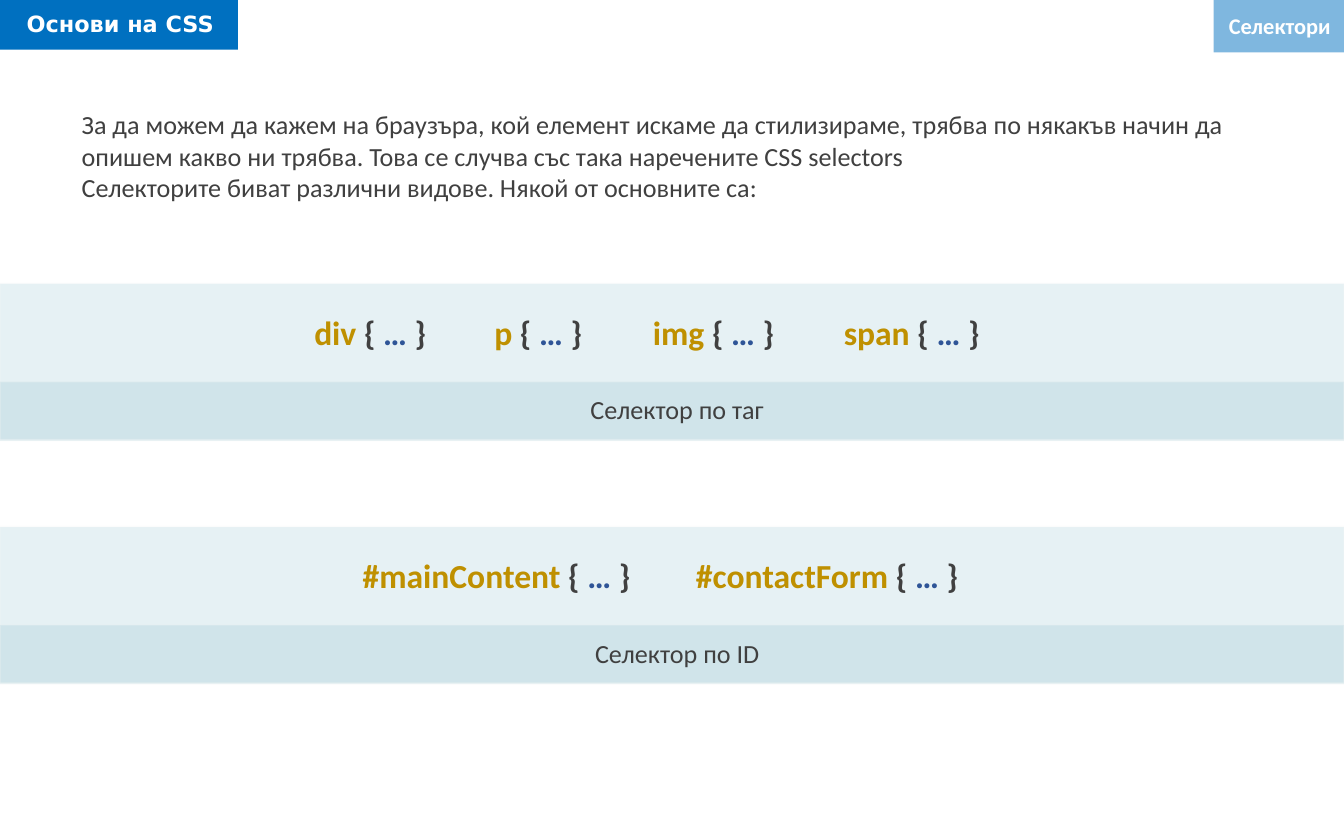
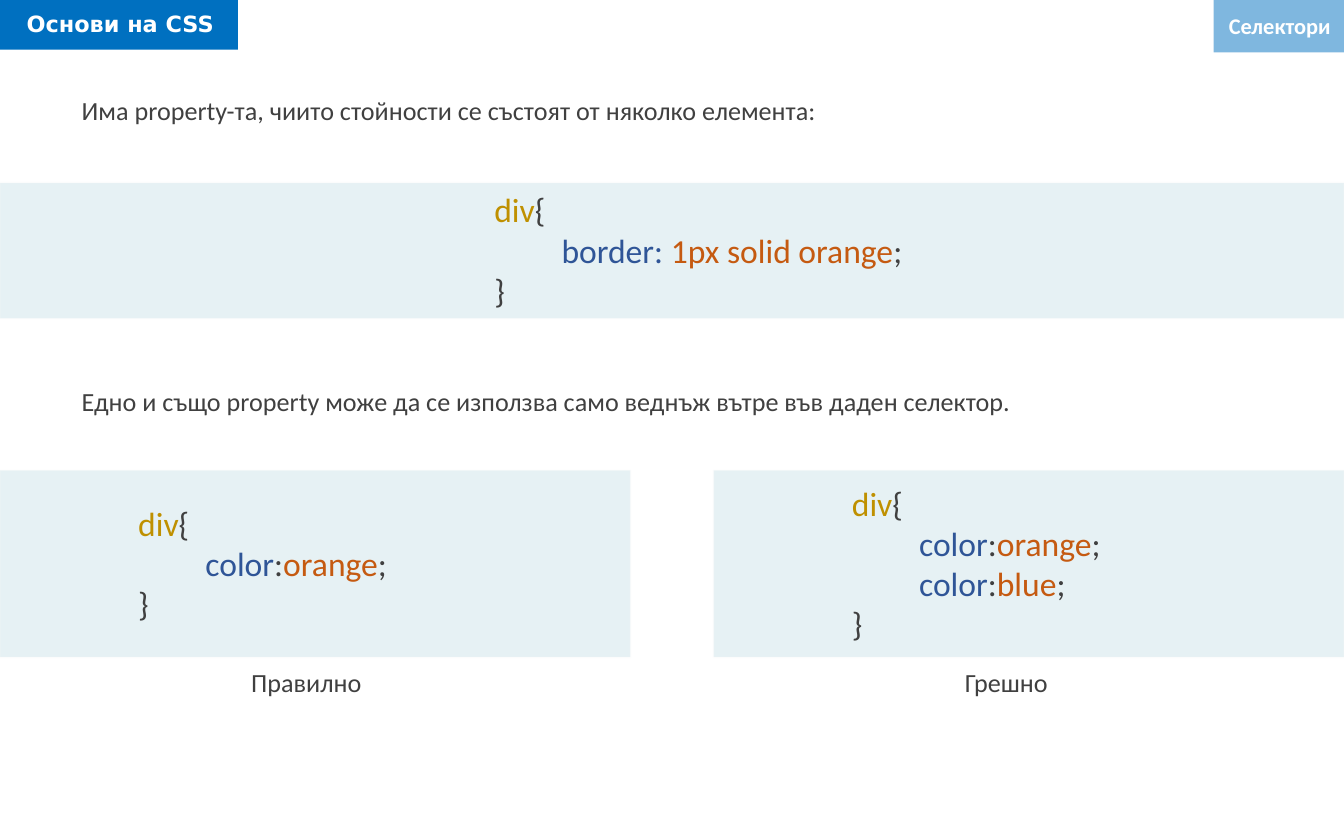
from dataclasses import dataclass
from typing import NamedTuple

from lxml.etree import SubElement
from pptx import Presentation
from pptx.dml.color import RGBColor
from pptx.dml.fill import FillFormat
from pptx.enum.shapes import MSO_SHAPE as Shape
from pptx.enum.text import MSO_AUTO_SIZE as AutoSize, PP_ALIGN as Align
from pptx.oxml.ns import qn
from pptx.slide import Slide
from pptx.util import Inches, Pt


@dataclass(frozen=True)
class Theme:
    blue: str = "0070C0"
    teal: str = "127994"
    outline: str = "F8F8F8"
    white: str = "FFFFFF"
    ink: str = "404040"
    selector: str = "BF9000"
    keyword: str = "2F5597"
    value: str = "C55A11"
    body_font: str = "Calibri"
    title_font: str = "DejaVu Sans"
    label_size: int = 12
    body_size: int = 14
    code_size: int = 18


THEME = Theme()


class Area(NamedTuple):
    left: float
    top: float
    width: float
    height: float

    def lengths(self) -> list[Inches]:
        return [Inches(value) for value in self]


class Span(NamedTuple):
    text: str
    color: str = THEME.ink


Line = list[Span]


class Rule(NamedTuple):
    selector: str
    left: float
    width: float


class SelectorGroup(NamedTuple):
    top: float
    caption: str
    rules: list[Rule]


class Example(NamedTuple):
    left: float
    code_top: float
    code_height: float
    code: list[Line]
    verdict: str


def paint(fill: FillFormat, color: str, opacity: int = 100) -> None:
    """Fill with a solid colour at an opacity in percent."""
    fill.solid()
    fill.fore_color.rgb = RGBColor.from_string(color)
    if opacity < 100:
        color_node = fill._xPr.find(qn("a:solidFill"))[0]
        SubElement(color_node, qn("a:alpha"), val=str(opacity * 1000))


def add_block(page: Slide, area: Area, color: str, opacity: int = 100, outlined: bool = False) -> None:
    block = page.shapes.add_shape(Shape.RECTANGLE, *area.lengths())
    block.shadow.inherit = False
    paint(block.fill, color, opacity)
    if outlined:
        block.line.width = Pt(1)
        paint(block.line.fill, THEME.outline, 16)
    else:
        block.line.fill.background()


def add_band(page: Slide, area: Area) -> None:
    add_block(page, area, THEME.teal, 10, outlined=True)


def add_text(page: Slide, area: Area, lines: list[Line], size: int = THEME.body_size,
             bold: bool = False, font: str = THEME.body_font,
             align: Align | None = None, wrap: bool = True) -> None:
    frame = page.shapes.add_textbox(*area.lengths()).text_frame
    frame.word_wrap = wrap
    frame.auto_size = AutoSize.SHAPE_TO_FIT_TEXT
    font_format = {"name": font, "size": Pt(size), "bold": bold}
    for index, line in enumerate(lines):
        para = frame.paragraphs[0] if index == 0 else frame.add_paragraph()
        para.alignment = align
        for span in line:
            run = para.add_run()
            run.text = span.text
            for name, value in font_format.items():
                setattr(run.font, name, value)
            run.font.color.rgb = RGBColor.from_string(span.color)


def add_body(page: Slide, top: float, height: float, *texts: str, align: Align | None = None) -> None:
    add_text(page, Area(0.51, top, 9.06, height), [[Span(text)] for text in texts], align=align)


def add_code(page: Slide, area: Area, lines: list[Line]) -> None:
    add_text(page, area, lines, THEME.code_size, wrap=False)


def add_header(page: Slide) -> None:
    add_block(page, Area(0, -0.02, 1.77, 0.39), THEME.blue)
    add_text(page, Area(0.1, 0.03, 1.67, 0.3), [[Span("Основи на CSS", THEME.white)]],
             THEME.label_size, bold=True, font=THEME.title_font)
    add_block(page, Area(9.03, 0, 0.97, 0.39), THEME.blue, 50)
    add_text(page, Area(9.03, 0.04, 0.97, 0.3), [[Span("Селектори", THEME.white)]],
             THEME.label_size, bold=True, align=Align.RIGHT, wrap=False)


def div_block(*declarations: Line) -> list[Line]:
    """Wrap declarations in the lines of a div rule."""
    indented = [[Span("\t"), *line, Span(";")] for line in declarations]
    return [[Span("div", THEME.selector), Span("{")], *indented, [Span("}")]]


def color_line(value: str) -> Line:
    return [Span("color", THEME.keyword), Span(":"), Span(value, THEME.value)]


def add_selector_group(page: Slide, group: SelectorGroup) -> None:
    add_band(page, Area(0, group.top, 10, 1.16))
    add_band(page, Area(0, group.top + 0.73, 10, 0.44))
    add_body(page, group.top + 0.77, 0.34, group.caption, align=Align.CENTER)
    for rule in group.rules:
        line = [Span(f"{rule.selector} ", THEME.selector), Span("{ "),
                Span("… ", THEME.keyword), Span("}")]
        add_text(page, Area(rule.left, group.top + 0.16, rule.width, 0.4), [line],
                 THEME.code_size, bold=True)


def add_example(page: Slide, example: Example) -> None:
    add_band(page, Area(example.left, 3.5, 4.69, 1.39))
    add_code(page, Area(example.left + 0.93, example.code_top, 2.58, example.code_height), example.code)
    add_text(page, Area(example.left + 1.77, 4.91, 1.02, 0.34), [[Span(example.verdict)]])


SELECTOR_GROUPS = [
    SelectorGroup(2.11, "Селектор по таг", [
        Rule("div", 2.24, 1.1), Rule("p", 3.58, 1.16),
        Rule("img", 4.76, 1.34), Rule("span", 6.18, 1.34)]),
    SelectorGroup(3.92, "Селектор по ID", [
        Rule("#mainContent", 2.6, 2.2), Rule("#contactForm", 5.08, 2.2)]),
]
EXAMPLES = [
    Example(0, 3.69, 1.01, div_block(color_line("orange")), "Правилно"),
    Example(5.31, 3.54, 1.31, div_block(color_line("orange"), color_line("blue")), "Грешно"),
]


def fill_selectors(page: Slide) -> None:
    add_body(page, 0.76, 0.81,
             "За да можем да кажем на браузъра, кой елемент искаме да стилизираме, трябва по "
             "някакъв начин да опишем какво ни трябва. Това се случва със така наречените CSS selectors",
             "Селекторите биват различни видове. Някой от основните са:")
    for group in SELECTOR_GROUPS:
        add_selector_group(page, group)


def fill_properties(page: Slide) -> None:
    add_body(page, 0.65, 0.34, "Има property-та, чиито стойности се състоят от няколко елемента:")
    add_band(page, Area(0, 1.36, 10, 1.01))
    border = [Span("border: ", THEME.keyword), Span("1px solid orange", THEME.value)]
    add_code(page, Area(3.58, 1.36, 3.78, 1.01), div_block(border))
    add_body(page, 2.82, 0.34,
             "Едно и също property може да се използва само веднъж вътре във даден селектор.")
    for example in EXAMPLES:
        add_example(page, example)


def main() -> None:
    deck = Presentation()
    deck.slide_width, deck.slide_height = Inches(10), Inches(6.25)
    for fill_page in (fill_selectors, fill_properties):
        page = deck.slides.add_slide(deck.slide_layouts[6])
        add_header(page)
        fill_page(page)
    deck.save("out.pptx")


if __name__ == "__main__":
    main()
